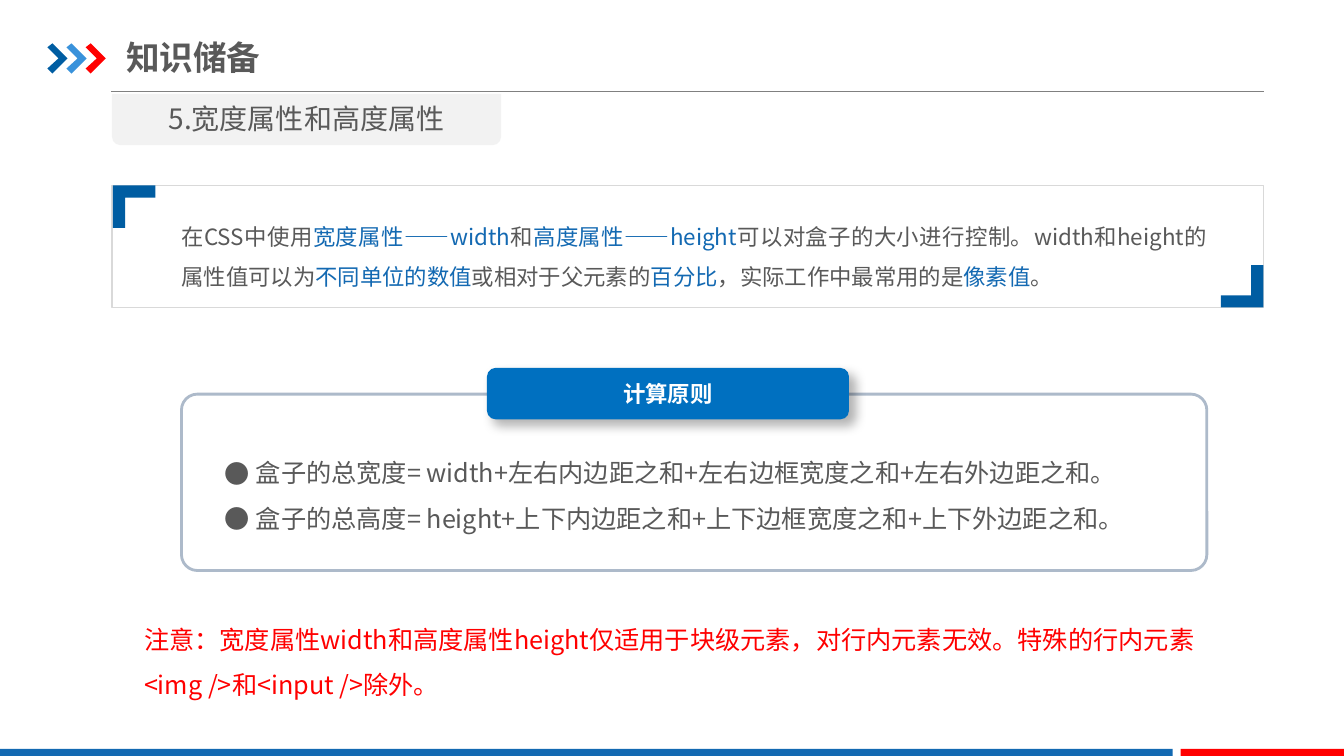
import pptx
import pptx.dml.color
import pptx.enum.shapes
import pptx.enum.text
import pptx.oxml.ns
import pptx.util
from lxml import etree

Inches = pptx.util.Inches
RGBColor = pptx.dml.color.RGBColor
Shapes = pptx.enum.shapes.MSO_SHAPE
Align = pptx.enum.text.PP_ALIGN
Anchor = pptx.enum.text.MSO_ANCHOR
qn = pptx.oxml.ns.qn

FONT = "Noto Sans CJK SC"
GREY = RGBColor(0x59, 0x59, 0x59)
BLUE = RGBColor(0x13, 0x69, 0xB2)
DARK_BLUE = RGBColor(0x00, 0x5D, 0xA2)
LIGHT_BLUE = RGBColor(0x39, 0x92, 0xDB)
LABEL_BLUE = RGBColor(0x00, 0x70, 0xC0)
RED = RGBColor(0xFF, 0x00, 0x00)
WHITE = RGBColor(0xFF, 0xFF, 0xFF)
TAB_GREY = RGBColor(0xF2, 0xF2, 0xF2)
RULE_GREY = RGBColor(0x80, 0x80, 0x80)
FRAME_GREY = RGBColor(0xD9, 0xD9, 0xD9)
PANEL_LINE = RGBColor(0xAD, 0xBA, 0xCA)


def add_box(slide, kind, left, top, width, height, fill=None, line=None, line_width=1):
    shape = slide.shapes.add_shape(
        kind, Inches(left), Inches(top), Inches(width), Inches(height))
    shape.shadow.inherit = False
    style_box(shape, fill, line, line_width)
    return shape


def style_box(shape, fill, line=None, line_width=1):
    if fill is None:
        shape.fill.background()
    else:
        shape.fill.solid()
        shape.fill.fore_color.rgb = fill
    if line is None:
        shape.line.fill.background()
    else:
        shape.line.color.rgb = line
        shape.line.width = pptx.util.Pt(line_width)


def add_outline(slide, points, fill):
    corners = [(Inches(x), Inches(y)) for x, y in points]
    builder = slide.shapes.build_freeform(*corners[0])
    builder.add_line_segments(corners[1:], close=True)
    shape = builder.convert_to_shape()
    shape.shadow.inherit = False
    style_box(shape, fill)


def add_run(paragraph, text, size, color, bold=False):
    run = paragraph.add_run()
    run.text = text
    run.font.size = pptx.util.Pt(size)
    run.font.bold = bold
    run.font.color.rgb = color
    run.font.name = FONT
    east_asian = etree.SubElement(run.font._element, qn("a:ea"))
    east_asian.set("typeface", FONT)


def add_text_box(slide, left, top, width, height, margins=True):
    text_box = slide.shapes.add_textbox(
        Inches(left), Inches(top), Inches(width), Inches(height))
    frame = text_box.text_frame
    frame.word_wrap = True
    frame.auto_size = pptx.enum.text.MSO_AUTO_SIZE.SHAPE_TO_FIT_TEXT
    if not margins:
        frame.margin_left = frame.margin_right = 0
        frame.margin_top = frame.margin_bottom = 0
    return frame


def add_bullet(paragraph, indent):
    properties = paragraph._p.get_or_add_pPr()
    properties.set("marL", str(Inches(indent)))
    properties.set("indent", str(-Inches(indent)))
    etree.SubElement(properties, qn("a:buFont")).set("typeface", FONT)
    etree.SubElement(properties, qn("a:buChar")).set("char", "●")


def add_drop_shadow(shape):
    effects = shape._element.spPr.find(qn("a:effectLst"))
    shadow = etree.SubElement(effects, qn("a:outerShdw"))
    shadow.set("blurRad", str(pptx.util.Pt(8)))
    shadow.set("dist", str(pptx.util.Pt(6)))
    shadow.set("dir", str(45 * 60000))
    shadow.set("algn", "tl")
    shadow.set("rotWithShape", "0")
    color = etree.SubElement(shadow, qn("a:srgbClr"))
    color.set("val", "000000")
    etree.SubElement(color, qn("a:alpha")).set("val", "30000")


def add_header(slide, left, top, text):
    # Rule under the heading
    rule_top = top + 0.48
    rule = slide.shapes.add_connector(
        pptx.enum.shapes.MSO_CONNECTOR.STRAIGHT,
        Inches(left + 0.63), Inches(rule_top), Inches(left + 12.07), Inches(rule_top))
    rule.line.color.rgb = RULE_GREY
    rule.line.width = pptx.util.Pt(0.75)
    etree.SubElement(rule._element.spPr, qn("a:effectLst"))
    # Three chevrons
    chevron = [(0, 0.04), (0.05, 0), (0.2, 0.15), (0.05, 0.3), (0, 0.25), (0.11, 0.15)]
    for index, color in enumerate((DARK_BLUE, LIGHT_BLUE, RED)):
        start = left + index * 0.19
        add_outline(slide, [(start + x, top + y) for x, y in chevron], color)
    # Heading
    title = slide.shapes.title
    title.left, title.top = Inches(left + 0.78), Inches(top - 0.14)
    title.width, title.height = Inches(4.26), Inches(0.55)
    frame = title.text_frame
    frame.vertical_anchor = Anchor.MIDDLE
    frame.margin_left = frame.margin_right = 0
    frame.margin_top = frame.margin_bottom = Inches(0.07)
    frame.paragraphs[0].alignment = Align.LEFT
    add_run(frame.paragraphs[0], text, 24, GREY, bold=True)


def add_footer(slide, top, height):
    add_box(slide, Shapes.RECTANGLE, 0, top, 11.63, height, BLUE)
    add_box(slide, Shapes.RECTANGLE, 11.71, top, 1.63, height, RED)


def add_section_tab(slide, left, top, width, height, text):
    tab = add_box(slide, Shapes.ROUND_2_SAME_RECTANGLE, left, top, width, height, TAB_GREY)
    tab.rotation = 180
    paragraph = add_text_box(slide, left, top + 0.03, width, 0.44).paragraphs[0]
    paragraph.alignment = Align.CENTER
    add_run(paragraph, text, 20, GREY)


def add_definition(slide, left, top, width, height, pieces):
    add_box(slide, Shapes.RECTANGLE, left, top, width, height, line=FRAME_GREY)
    # Text with highlighted terms
    frame = add_text_box(slide, left + 0.69, top + 0.24, width - 1.25, 0.81, margins=False)
    paragraph = frame.paragraphs[0]
    paragraph.alignment = Align.JUSTIFY
    paragraph.line_spacing = 1.5
    for text, color in pieces:
        add_run(paragraph, text, 16, color)
    # Corner brackets, the second turned half round
    bracket = [(0, 0), (0.42, 0), (0.42, 0.12), (0.12, 0.12), (0.12, 0.42), (0, 0.42)]
    for corner_x, corner_y, sign in ((left + 0.01, top, 1), (left + width, top + height, -1)):
        points = [(corner_x + sign * x, corner_y + sign * y) for x, y in bracket]
        add_outline(slide, points, DARK_BLUE)


def add_rules_panel(slide, left, top, width, height, label_text, rules):
    panel = add_box(slide, Shapes.ROUNDED_RECTANGLE, left, top, width, height,
                    line=PANEL_LINE, line_width=2)
    panel.adjustments[0] = 0.09
    # Bulleted rules
    frame = add_text_box(slide, left + 0.33, top + 0.43, width - 0.83, 0.96)
    for index, rule in enumerate(rules):
        paragraph = frame.add_paragraph() if index else frame.paragraphs[0]
        paragraph.line_spacing = 1.5
        add_bullet(paragraph, 0.31)
        add_run(paragraph, rule, 18, GREY)
    # Label across the top edge
    label = add_box(slide, Shapes.ROUNDED_RECTANGLE, left + 3.03, top - 0.26, 3.59, 0.51,
                    LABEL_BLUE)
    add_drop_shadow(label)
    label.text_frame.vertical_anchor = Anchor.MIDDLE
    paragraph = label.text_frame.paragraphs[0]
    paragraph.alignment = Align.CENTER
    add_run(paragraph, label_text, 16, WHITE, bold=True)


def add_note(slide, left, top, width, height, text):
    paragraph = add_text_box(slide, left, top, width, height).paragraphs[0]
    paragraph.line_spacing = 1.5
    add_run(paragraph, text, 18, RED)


def main():
    presentation = pptx.Presentation()
    presentation.slide_width = Inches(13.33)
    presentation.slide_height = Inches(7.5)
    slide = presentation.slides.add_slide(presentation.slide_layouts[5])

    add_header(slide, 0.47, 0.43, "知识储备")
    add_footer(slide, 7.43, 0.09)
    add_section_tab(slide, 1.11, 0.93, 3.86, 0.51, "5.宽度属性和高度属性")
    add_definition(slide, 1.11, 1.84, 11.42, 1.21, [
        ("在CSS中使用", GREY), ("宽度属性——width", BLUE), ("和", GREY),
        ("高度属性——height", BLUE),
        ("可以对盒子的大小进行控制。width和height的属性值可以为", GREY),
        ("不同单位的数值", BLUE), ("或相对于父元素的", GREY), ("百分比", BLUE),
        ("，实际工作中最常用的是", GREY), ("像素值", BLUE), ("。", GREY)])
    add_rules_panel(slide, 1.8, 3.91, 10.17, 1.75, "计算原则", [
        "盒子的总宽度= width+左右内边距之和+左右边框宽度之和+左右外边距之和。",
        "盒子的总高度= height+上下内边距之和+上下边框宽度之和+上下外边距之和。"])
    add_note(slide, 1.33, 5.99, 10.78, 0.96,
             "注意：宽度属性width和高度属性height仅适用于块级元素，对行内元素无效。"
             "特殊的行内元素<img />和<input />除外。")
    presentation.save("out.pptx")


if __name__ == "__main__":
    main()
